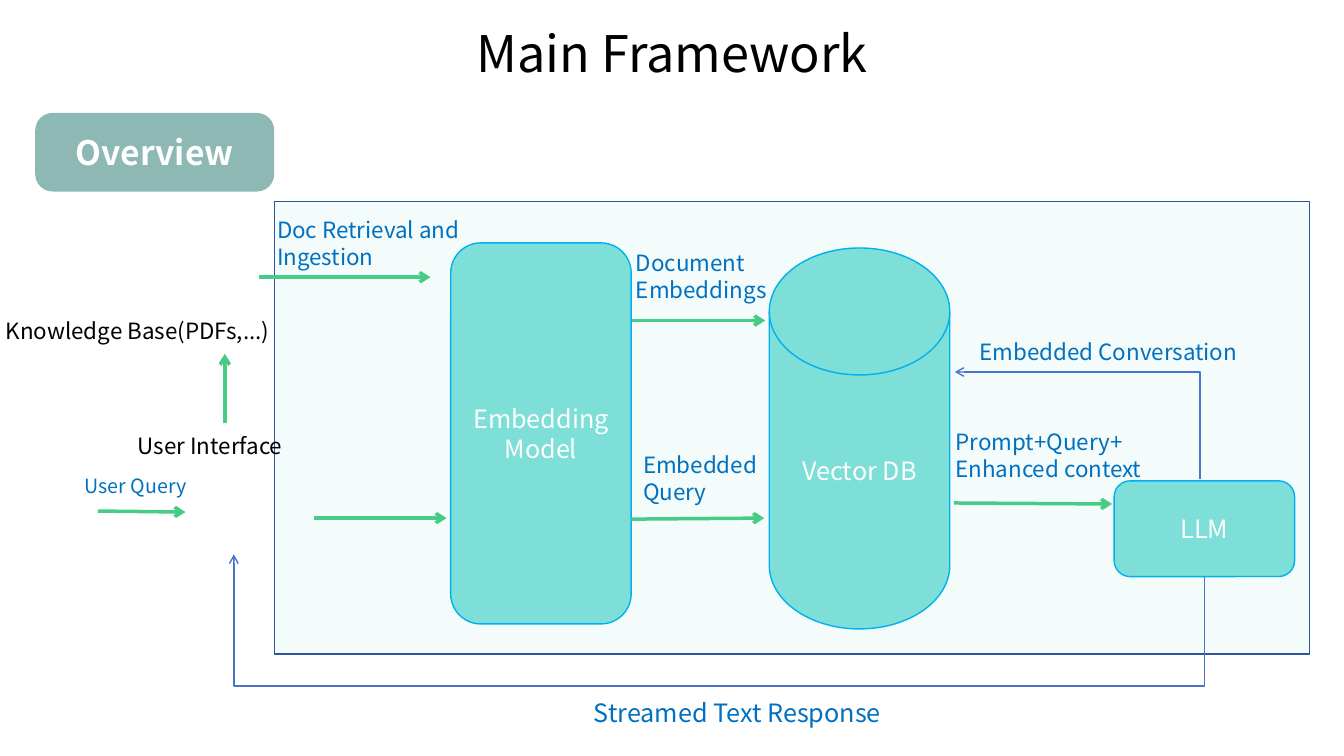
from dataclasses import dataclass

from lxml import etree
from pptx import Presentation, util as u
from pptx.dml import color
from pptx.enum import shapes, text
from pptx.oxml import ns

SLIDE_W, SLIDE_H = u.Inches(13.33), u.Inches(7.5)
COLUMN, ROW = SLIDE_W / 13.33, SLIDE_H / 7.5
FONT = "Noto Sans CJK SC"
COLORS = {
    "ink": "000000", "white": "FFFFFF", "label": "0070C0", "badge": "8EB8B4",
    "panel": "D4F4F2", "panel_edge": "2E54A1", "node": "7DDFD7",
    "node_edge": "00B0F0", "flow": "48CB87", "feedback": "4874CB",
}


@dataclass
class Region:
    """A region of the slide, in grid columns and rows."""
    left: float
    top: float
    width: float
    height: float

    def point(self, x, y):
        """Return slide coordinates of a point inside the region."""
        return round((self.left + x) * COLUMN), round((self.top + y) * ROW)

    def frame(self, x, y, width, height):
        """Return the slide frame of a part inside the region."""
        return (*self.point(x, y), round(width * COLUMN), round(height * ROW))


def rgb(name):
    """Look up a named colour."""
    return color.RGBColor.from_string(COLORS[name])


def write(frame, lines, size, ink, align=text.PP_ALIGN.LEFT, bold=False):
    """Write one run per paragraph into a text frame."""
    frame.word_wrap = True
    for index, line in enumerate(lines):
        paragraph = frame.paragraphs[0] if index == 0 else frame.add_paragraph()
        paragraph.alignment = align
        run = paragraph.add_run()
        run.text = line
        run.font.size, run.font.bold, run.font.name = u.Pt(size), bold, FONT
        run.font.color.rgb = rgb(ink)
        east_asian = etree.SubElement(run.font._element, ns.qn("a:ea"))
        east_asian.set("typeface", FONT)


def add_label(slide, frame, lines, size=16, ink="label"):
    """Add a plain text label."""
    label = slide.shapes.add_textbox(*frame)
    write(label.text_frame, lines, size, ink)
    label.text_frame.auto_size = text.MSO_AUTO_SIZE.SHAPE_TO_FIT_TEXT


def add_block(slide, kind, frame, fill, edge=None):
    """Add a filled shape with an optional outline."""
    block = slide.shapes.add_shape(kind, *frame)
    block.shadow.inherit = False
    block.fill.solid()
    block.fill.fore_color.rgb = rgb(fill)
    if edge:
        block.line.color.rgb = rgb(edge)
        block.line.width = u.Pt(1)
    else:
        block.line.fill.background()
    return block


def add_node(slide, kind, frame, caption):
    """Add a captioned component of the framework."""
    node = add_block(slide, kind, frame, "node", "node_edge")
    node.text_frame.vertical_anchor = text.MSO_ANCHOR.MIDDLE
    write(node.text_frame, [caption], 18, "white", text.PP_ALIGN.CENTER)


def add_arrow(slide, start, end, ink="flow", width=2.5,
              kind=shapes.MSO_CONNECTOR.STRAIGHT):
    """Add a connector with an open arrowhead at its end."""
    arrow = slide.shapes.add_connector(kind, *start, *end)
    arrow.line.color.rgb = rgb(ink)
    arrow.line.width = u.Pt(width)
    head = etree.SubElement(arrow.line._get_or_add_ln(), ns.qn("a:tailEnd"))
    head.set("type", "arrow")
    etree.SubElement(arrow._element.spPr, ns.qn("a:effectLst"))
    return arrow


def add_elbow(slide, start, end, degrees, bend):
    """Add a thin bent arrow, turned about its centre."""
    elbow = add_arrow(slide, start, end, "feedback", 1, shapes.MSO_CONNECTOR.ELBOW)
    properties = elbow._element.spPr
    properties.find(ns.qn("a:xfrm")).set("rot", str(degrees * 60000))
    geometry = properties.find(ns.qn("a:prstGeom"))
    guides = geometry.find(ns.qn("a:avLst"))
    if guides is None:
        guides = etree.SubElement(geometry, ns.qn("a:avLst"))
    guide = etree.SubElement(guides, ns.qn("a:gd"))
    guide.set("name", "adj1")
    guide.set("fmla", f"val {round(bend * 100000)}")


def draw_header(slide, region):
    """Place the title and the section badge."""
    title = slide.shapes.title
    title.left, title.top, title.width, title.height = region.frame(2.09, 0.17, 9.15, 0.62)
    title.text_frame.auto_size = text.MSO_AUTO_SIZE.NONE
    title.text_frame.vertical_anchor = text.MSO_ANCHOR.TOP
    write(title.text_frame, ["Main Framework"], 36, "ink", text.PP_ALIGN.CENTER)
    badge = add_block(slide, shapes.MSO_SHAPE.ROUNDED_RECTANGLE,
                      region.frame(0.35, 1.12, 2.37, 0.78), "badge")
    badge.adjustments[0] = 0.22
    badge.text_frame.vertical_anchor = text.MSO_ANCHOR.MIDDLE
    write(badge.text_frame, ["Overview"], 24, "white", text.PP_ALIGN.CENTER, True)


def draw_pipeline(slide, region):
    """Place the panel with its components, flows and labels."""
    panel = add_block(slide, shapes.MSO_SHAPE.RECTANGLE,
                      region.frame(0, 0, region.width, region.height),
                      "panel", "panel_edge")
    tint = panel.fill._xPr.find(ns.qn("a:solidFill"))[0]
    etree.SubElement(tint, ns.qn("a:alpha")).set("val", "24000")

    rounded = shapes.MSO_SHAPE.ROUNDED_RECTANGLE
    disk = shapes.MSO_SHAPE.FLOWCHART_MAGNETIC_DISK
    for kind, x, y, height, caption in (
        (rounded, 1.75, 0.41, 3.78, "Embedding Model"),
        (disk, 4.91, 0.46, 3.78, "Vector DB"),
        (rounded, 8.33, 2.77, 0.95, "LLM"),
    ):
        add_node(slide, kind, region.frame(x, y, 1.79, height), caption)

    for start, end in (
        ((-0.15, 0.75), (1.55, 0.75)),
        ((0.39, 3.14), (1.71, 3.14)),
        ((3.55, 1.18), (4.87, 1.18)),
        ((3.54, 3.15), (4.86, 3.14)),
        ((6.74, 2.99), (8.31, 3)),
    ):
        add_arrow(slide, region.point(*start), region.point(*end))
    add_elbow(slide, region.point(6.75, 1.69), region.point(9.18, 2.75), 180, 0)

    for x, y, width, height, lines in (
        (-0.07, 0.1, 2.02, 0.64, ["Doc Retrieval and Ingestion"]),
        (3.49, 0.42, 1.76, 0.64, ["Document Embeddings"]),
        (3.56, 2.43, 1.76, 0.64, ["Embedded", "Query"]),
        (6.66, 2.2, 2.16, 0.64, ["Prompt+Query+", "Enhanced context"]),
        (6.9, 1.31, 3.04, 0.37, ["Embedded Conversation"]),
    ):
        add_label(slide, region.frame(x, y, width, height), lines)


def draw_user_side(slide, region):
    """Place the knowledge base, the interface and the user query."""
    add_label(slide, region.frame(-0.04, 1.1, 3.13, 0.37),
              ["Knowledge Base(PDFs,...)"], ink="ink")
    add_label(slide, region.frame(1.27, 2.24, 2.71, 0.37), ["User Interface"], ink="ink")
    add_label(slide, region.frame(0.74, 2.65, 1.76, 0.34), ["User Query"], 14)
    add_arrow(slide, region.point(0.97, 3.07), region.point(1.84, 3.08))
    add_arrow(slide, region.point(2.23, 2.2), region.point(2.23, 1.51))


def draw_response(slide, region):
    """Place the return path from the model to the user."""
    rise = 0.22
    middle_x, middle_y = region.width / 2, rise / 2
    add_elbow(slide,
              region.point(middle_x + rise / 2, middle_y - region.width / 2),
              region.point(middle_x - rise / 2, middle_y + region.width / 2),
              90, -4.93)
    add_label(slide, region.frame(3.47, 1.37, 4.42, 0.4), ["Streamed Text Response"], 18)


def main():
    """Build and save the slide."""
    deck = Presentation()
    deck.slide_width, deck.slide_height = SLIDE_W, SLIDE_H
    slide = deck.slides.add_slide(deck.slide_layouts[5])
    draw_pipeline(slide, Region(2.72, 2, 10.27, 4.49))
    draw_user_side(slide, Region(0, 2, 2.72, 4.49))
    draw_response(slide, Region(2.32, 5.5, 9.63, 1.77))
    draw_header(slide, Region(0, 0, 13.33, 2))
    deck.save("out.pptx")


if __name__ == "__main__":
    main()
